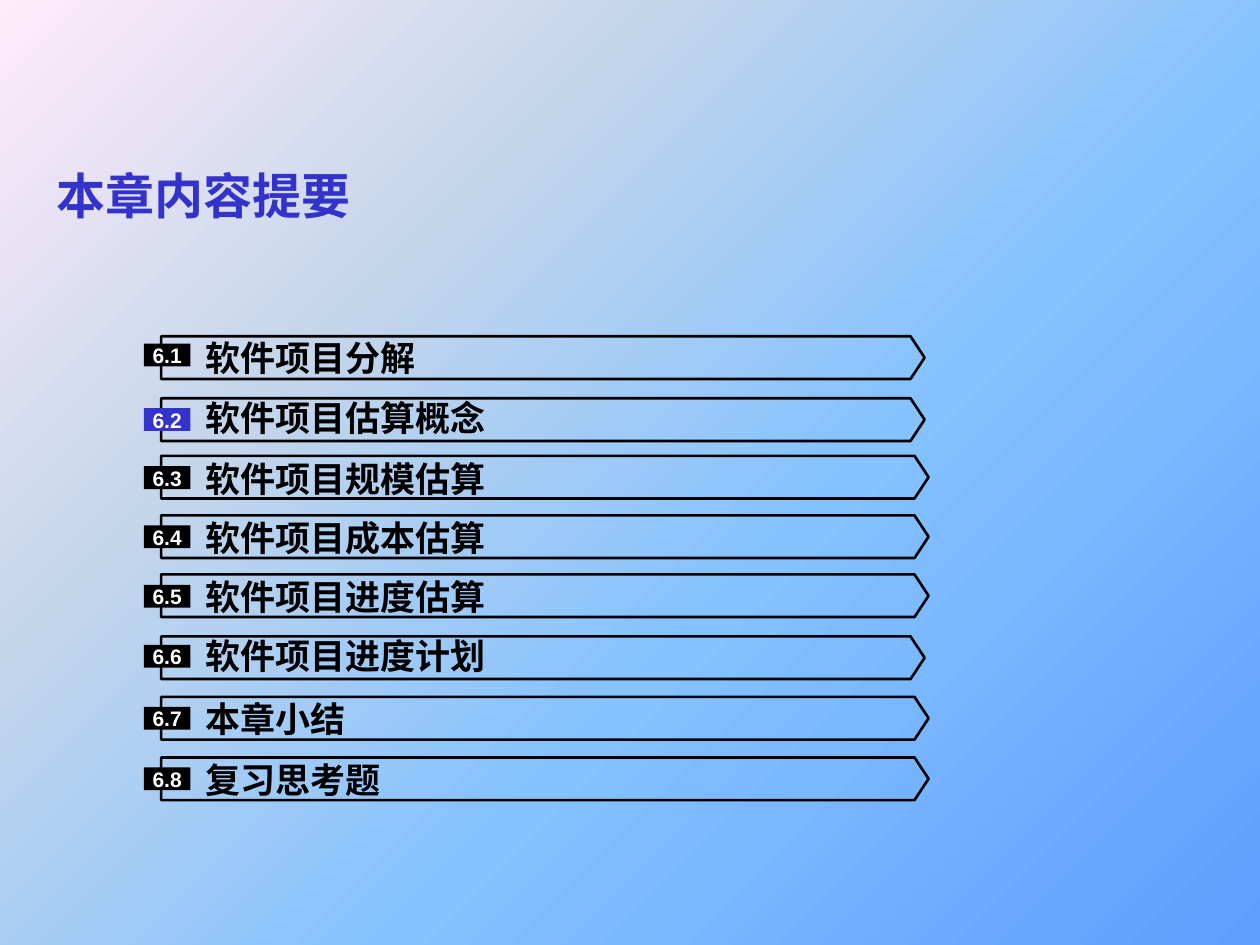
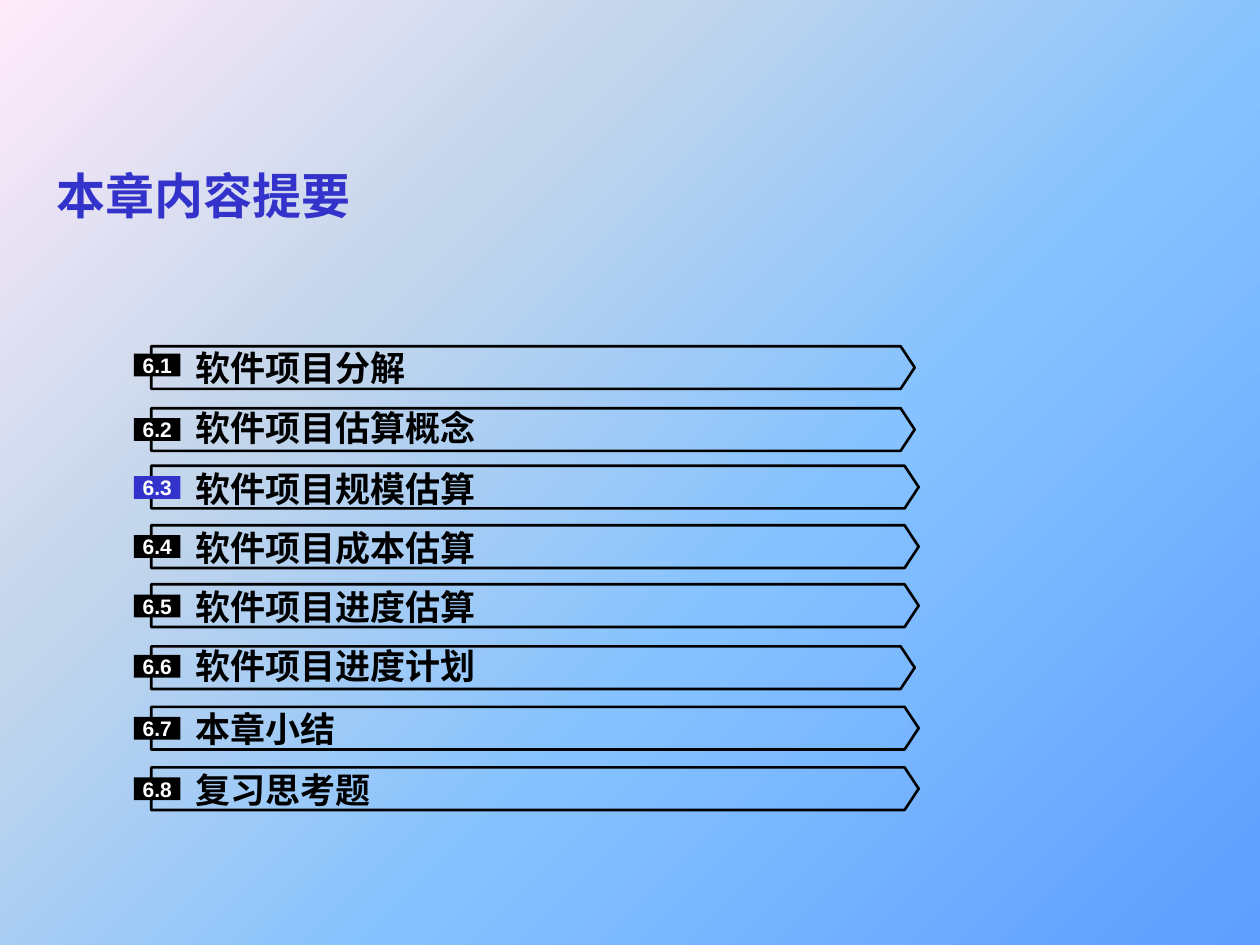
"""Build two chapter outline slides, each highlighting its current section."""
from lxml import etree
from pptx import Presentation
from pptx import util as u
from pptx.dml import color
from pptx.enum import shapes, text
from pptx.oxml import ns

INK, ACCENT, WHITE = "000000", "3333CC", "FFFFFF"
BACKGROUND = [(0, "5E9EFF"), (40, "85C2FF"), (70, "C4D6EB"), (100, "FFEBFA")]
WIDE, NARROW = 15.47, 15.39
SECTIONS = [
    ("软件项目分解", NARROW, 6.78, 6.79, 6.93),
    ("软件项目估算概念", NARROW, 8.03, 8.00, 8.23),
    ("软件项目规模估算", WIDE, 9.19, 9.22, 9.40),
    ("软件项目成本估算", WIDE, 10.39, 10.41, 10.59),
    ("软件项目进度估算", WIDE, 11.58, 11.61, 11.79),
    ("软件项目进度计划", NARROW, 12.83, 12.80, 13.00),
    ("本章小结", WIDE, 14.05, 14.07, 14.25),
    ("复习思考题", WIDE, 15.27, 15.29, 15.47),
]
OUTLINES = [(2, 0), (3, 0.2)]


def rgb(value):
    return color.RGBColor.from_string(value)


def write(box, words, font_name, size, ink):
    frame = box.text_frame
    frame.text = words
    frame.word_wrap = True
    frame.vertical_anchor = text.MSO_ANCHOR.MIDDLE
    font = frame.paragraphs[0].runs[0].font
    font.name, font.size, font.bold = font_name, u.Pt(size), True
    font.color.rgb = rgb(ink)
    return frame


deck = Presentation()
deck.slide_width, deck.slide_height = u.Cm(25.4), u.Cm(19.05)

fill = deck.slide_master.background.fill
fill.gradient()
fill.gradient_angle = 135
stops = deck.slide_master.element.find(".//" + ns.qn("p:bgPr")).find(".//" + ns.qn("a:gsLst"))
for stop in list(stops):
    stops.remove(stop)
for percent, shade in BACKGROUND:
    stop = etree.SubElement(stops, ns.qn("a:gs"), pos=str(percent * 1000))
    etree.SubElement(stop, ns.qn("a:srgbClr"), val=shade)

for current, shift in OUTLINES:
    page = deck.slides.add_slide(deck.slide_layouts[6])
    title = page.shapes.add_textbox(u.Cm(0.89), u.Cm(2.92), u.Cm(24), u.Cm(2))
    write(title, "本章内容提要", "Arial", 28, ACCENT)

    outline = page.shapes.add_group_shape().shapes
    for number, (name, width, plate_top, name_top, badge_top) in enumerate(SECTIONS, 1):
        plate = outline.add_shape(shapes.MSO_SHAPE.PENTAGON, u.Cm(3.25 - shift),
                                  u.Cm(plate_top + shift), u.Cm(width), u.Cm(0.86))
        plate.adjustments[0] = 0.33
        plate.shadow.inherit = False
        plate.fill.background()
        plate.line.color.rgb = rgb(INK)
        plate.line.width = u.Pt(1.5)

        label = outline.add_textbox(u.Cm(3.96 - shift), u.Cm(name_top + shift),
                                    u.Cm(width - 1.73), u.Cm(0.84))
        frame = write(label, name, "Times New Roman", 20, INK)
        frame.auto_size = text.MSO_AUTO_SIZE.SHAPE_TO_FIT_TEXT
        frame.margin_left = u.Cm(0.18)
        frame.margin_top = frame.margin_right = frame.margin_bottom = 0

        badge = outline.add_shape(shapes.MSO_SHAPE.RECTANGLE, u.Cm(2.9 - shift),
                                  u.Cm(badge_top + shift), u.Cm(0.94), u.Cm(0.46))
        badge.shadow.inherit = False
        badge.fill.solid()
        badge.fill.fore_color.rgb = rgb(ACCENT if number == current else INK)
        badge.line.fill.background()
        frame = write(badge, f"6.{number}", "Arial", 12, WHITE)
        frame.margin_left = frame.margin_top = frame.margin_right = frame.margin_bottom = 0
        frame.paragraphs[0].alignment = text.PP_ALIGN.CENTER

deck.save("out.pptx")
